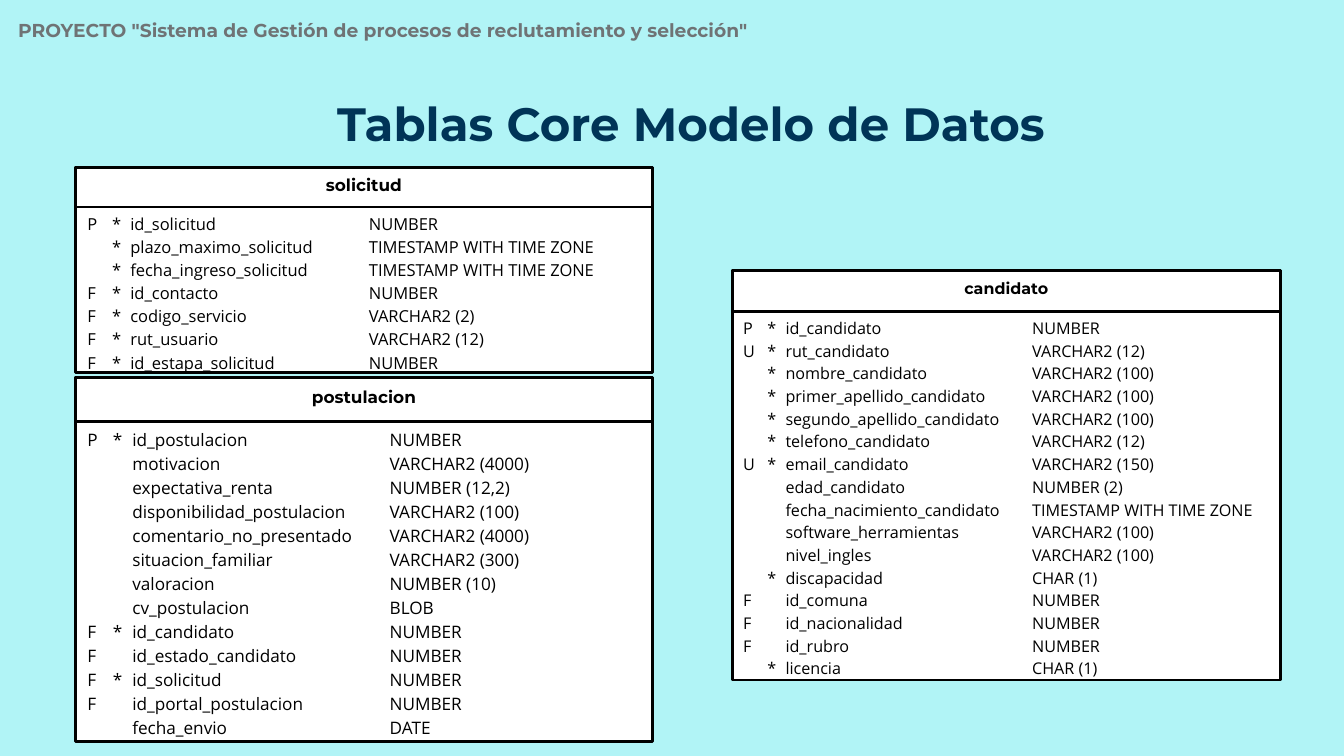
from dataclasses import dataclass

from lxml import etree
from pptx import Presentation
from pptx.dml.color import RGBColor
from pptx.enum.shapes import MSO_SHAPE
from pptx.enum.text import MSO_ANCHOR, PP_ALIGN
from pptx.oxml.ns import qn
from pptx.util import Inches, Pt

RECT = MSO_SHAPE.RECTANGLE
TOP, MIDDLE = MSO_ANCHOR.TOP, MSO_ANCHOR.MIDDLE
LEFT, CENTER = PP_ALIGN.LEFT, PP_ALIGN.CENTER
COLS, ROWS = 200, 112.5


@dataclass(frozen=True)
class Theme:
    background: str = "B1F4F6"
    title: str = "003457"
    muted: str = "6F7375"
    ink: str = "000000"
    paper: str = "FFFFFF"
    heading_font: str = "Montserrat"
    body_font: str = "Open Sans"
    title_size: float = 50
    project_size: float = 20
    border: float = 3
    padding: float = 0.5


@dataclass(frozen=True)
class Entity:
    name: str
    box: tuple
    header: float
    name_size: float
    inset: float
    size: float
    leading: float
    tabs: tuple
    fields: tuple


class Deck:
    def __init__(self, theme):
        self.theme = theme
        self.prs = Presentation()
        self.prs.slide_width, self.prs.slide_height = Inches(20), Inches(11.25)
        self.col = self.prs.slide_width / COLS
        self.row = self.prs.slide_height / ROWS

    def slide(self):
        self.s = self.prs.slides.add_slide(self.prs.slide_layouts[6])
        fill = self.s.background.fill
        fill.solid()
        fill.fore_color.rgb = RGBColor.from_string(self.theme.background)

    def place(self, x, y, w, h):
        return (round(x * self.col), round(y * self.row),
                round(w * self.col), round(h * self.row))

    def rect(self, *box):
        sp = self.s.shapes.add_shape(RECT, *self.place(*box))
        sp.shadow.inherit = False
        sp.fill.solid()
        sp.fill.fore_color.rgb = RGBColor.from_string(self.theme.paper)
        sp.line.color.rgb = RGBColor.from_string(self.theme.ink)
        sp.line.width = Pt(self.theme.border)

    def text(self, box, lines, size, leading, color, font, bold=True,
             align=LEFT, anchor=TOP, padding=0, tabs=()):
        tf = self.s.shapes.add_textbox(*self.place(*box)).text_frame
        tf.word_wrap = True
        tf.vertical_anchor = anchor
        tf.margin_left = tf.margin_right = round(padding * self.col)
        tf.margin_top = tf.margin_bottom = round(padding * self.row)
        for i, line in enumerate(lines):
            p = tf.add_paragraph() if i else tf.paragraphs[0]
            p.add_run().text = line
            p.alignment = align
            p.line_spacing = Pt(leading)
            if tabs:
                self.tab_stops(p, tabs)
            p.font.name, p.font.size, p.font.bold = font, Pt(size), bold
            p.font.color.rgb = RGBColor.from_string(color)

    def tab_stops(self, p, tabs):
        tab_list = etree.SubElement(p._p.get_or_add_pPr(), qn("a:tabLst"))
        for stop in tabs:
            etree.SubElement(tab_list, qn("a:tab"), pos=str(round(stop * self.col)), algn="l")

    def entity(self, e):
        t = self.theme
        x, y, w, h = e.box
        self.rect(*e.box)
        self.rect(x, y, w, e.header)
        self.text((x, y - 1.2, w, e.header + 1.2), [e.name], e.name_size, e.name_size * 1.38,
                  t.ink, t.heading_font, align=CENTER, anchor=MIDDLE, padding=t.padding)
        self.text((x + e.inset, y + e.header + 0.6, w - 2 * e.inset, h - e.header - 1.4),
                  ["\t".join(field) for field in e.fields], e.size, e.leading,
                  t.ink, t.body_font, bold=False, tabs=e.tabs)


CANDIDATO = Entity(
    "candidato", (109, 40.2, 81.5, 61), 6.1, 17, 1.6, 17.3, 24.3, (3.6, 6.3, 43), (
        ("P", "*", "id_candidato", "NUMBER"),
        ("U", "*", "rut_candidato", "VARCHAR2 (12)"),
        ("", "*", "nombre_candidato", "VARCHAR2 (100)"),
        ("", "*", "primer_apellido_candidato", "VARCHAR2 (100)"),
        ("", "*", "segundo_apellido_candidato", "VARCHAR2 (100)"),
        ("", "*", "telefono_candidato", "VARCHAR2 (12)"),
        ("U", "*", "email_candidato", "VARCHAR2 (150)"),
        ("", "", "edad_candidato", "NUMBER (2)"),
        ("", "", "fecha_nacimiento_candidato", "TIMESTAMP WITH TIME ZONE"),
        ("", "", "software_herramientas", "VARCHAR2 (100)"),
        ("", "", "nivel_ingles", "VARCHAR2 (100)"),
        ("", "*", "discapacidad", "CHAR (1)"),
        ("F", "", "id_comuna", "NUMBER"),
        ("F", "", "id_nacionalidad", "NUMBER"),
        ("F", "", "id_rubro", "NUMBER"),
        ("", "*", "licencia", "CHAR (1)"),
    ))

POSTULACION = Entity(
    "postulacion", (11.2, 56.2, 85.9, 54.1), 6.5, 18.1, 1.8, 18.4, 25.8, (3.8, 6.7, 45), (
        ("P", "*", "id_postulacion", "NUMBER"),
        ("", "", "motivacion", "VARCHAR2 (4000)"),
        ("", "", "expectativa_renta", "NUMBER (12,2)"),
        ("", "", "disponibilidad_postulacion", "VARCHAR2 (100)"),
        ("", "", "comentario_no_presentado", "VARCHAR2 (4000)"),
        ("", "", "situacion_familiar", "VARCHAR2 (300)"),
        ("", "", "valoracion", "NUMBER (10)"),
        ("", "", "cv_postulacion", "BLOB"),
        ("F", "*", "id_candidato", "NUMBER"),
        ("F", "", "id_estado_candidato", "NUMBER"),
        ("F", "*", "id_solicitud", "NUMBER"),
        ("F", "", "id_portal_postulacion", "NUMBER"),
        ("", "", "fecha_envio", "DATE"),
    ))

SOLICITUD = Entity(
    "solicitud", (11.2, 24.9, 85.9, 30.5), 5.9, 18.1, 1.8, 17.7, 24.7, (3.7, 6.4, 41.9), (
        ("P", "*", "id_solicitud", "NUMBER"),
        ("", "*", "plazo_maximo_solicitud", "TIMESTAMP WITH TIME ZONE"),
        ("", "*", "fecha_ingreso_solicitud", "TIMESTAMP WITH TIME ZONE"),
        ("F", "*", "id_contacto", "NUMBER"),
        ("F", "*", "codigo_servicio", "VARCHAR2 (2)"),
        ("F", "*", "rut_usuario", "VARCHAR2 (12)"),
        ("F", "*", "id_estapa_solicitud", "NUMBER"),
    ))


def main():
    t = Theme()
    deck = Deck(t)
    deck.slide()
    deck.text((21.3, 15.1, 163.1, 7.5), ["Tablas Core Modelo de Datos"],
              t.title_size, 52.5, t.title, t.heading_font, align=CENTER)
    deck.text((2.7, 2.5, 137.5, 3.4),
              ['PROYECTO "Sistema de Gestión de procesos de reclutamiento y selección"'],
              t.project_size, 26, t.muted, t.heading_font)
    for entity in (CANDIDATO, POSTULACION, SOLICITUD):
        deck.entity(entity)
    deck.prs.save("out.pptx")


if __name__ == "__main__":
    main()
